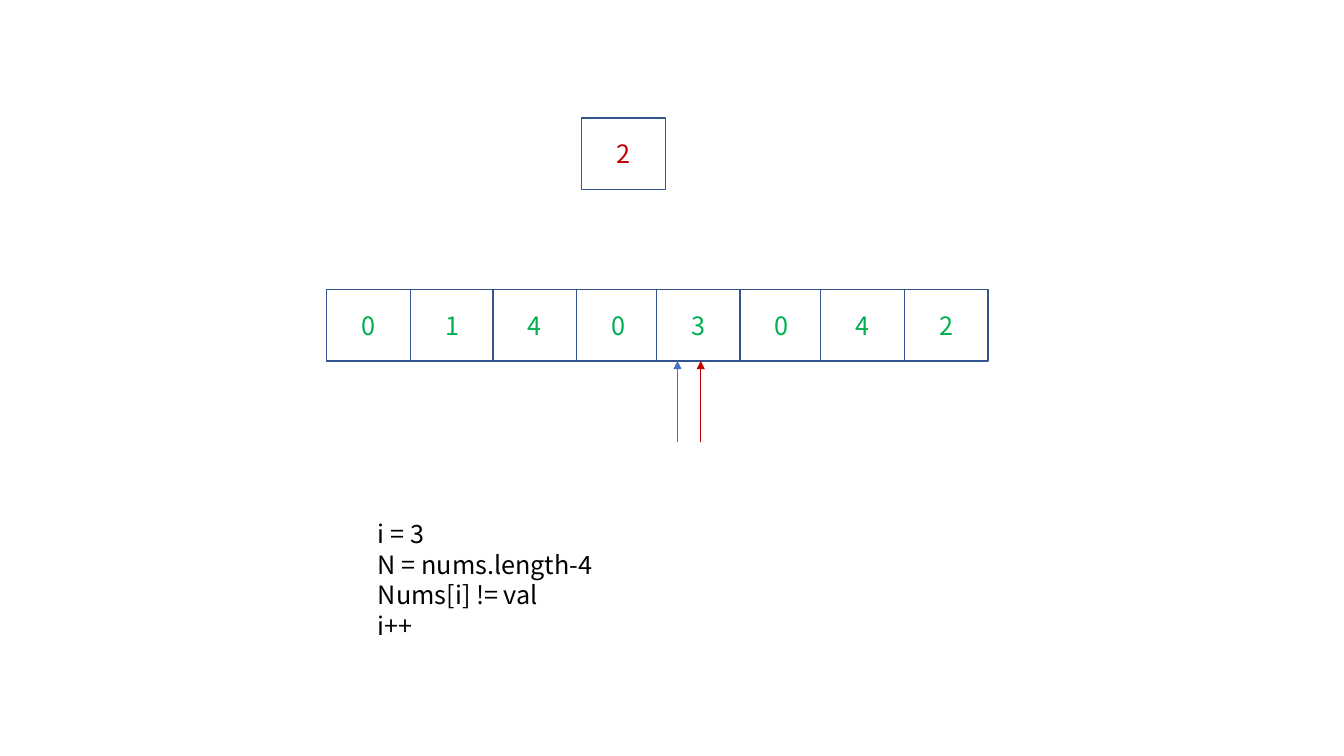
from pptx import Presentation
from pptx.dml.color import RGBColor
from pptx.enum.shapes import MSO_CONNECTOR, MSO_SHAPE
from pptx.enum.text import MSO_ANCHOR, PP_ALIGN
from pptx.oxml.ns import qn
from pptx.util import Inches, Pt
from lxml import etree

RECTANGLE = MSO_SHAPE.RECTANGLE
STRAIGHT = MSO_CONNECTOR.STRAIGHT
MIDDLE = MSO_ANCHOR.MIDDLE
LEFT, CENTER = PP_ALIGN.LEFT, PP_ALIGN.CENTER

WHITE, BLACK = "FFFFFF", "000000"
GREEN, RED = "00B050", "C00000"
BLUE, DARK_BLUE = "4472C4", "325491"


def color(hex_string):
    return RGBColor.from_string(hex_string)


class ArrayDiagram:
    font_name = "Noto Sans CJK SC"
    font_size = Pt(18)
    code_spacing = Pt(21.8)
    cell_width, cell_height = 0.83, 0.71

    def __init__(self, slide):
        self.slide = slide

    def format_text(self, text_frame, text_color, alignment):
        for paragraph in text_frame.paragraphs:
            paragraph.alignment = alignment
            for run in paragraph.runs:
                run.font.name = self.font_name
                run.font.size = self.font_size
                run.font.color.rgb = color(text_color)

    def cell(self, left, top, value, text_color):
        shape = self.slide.shapes.add_shape(
            RECTANGLE, Inches(left), Inches(top),
            Inches(self.cell_width), Inches(self.cell_height))
        shape.shadow.inherit = False
        shape.fill.solid()
        shape.fill.fore_color.rgb = color(WHITE)
        shape.line.color.rgb = color(DARK_BLUE)
        shape.line.width = Pt(1)
        shape.text_frame.text = value
        shape.text_frame.vertical_anchor = MIDDLE
        self.format_text(shape.text_frame, text_color, CENTER)

    def pointer(self, x, start_y, end_y, line_color):
        connector = self.slide.shapes.add_connector(
            STRAIGHT, Inches(x), Inches(start_y), Inches(x), Inches(end_y))
        connector.line.color.rgb = color(line_color)
        connector.line.width = Pt(0.5)
        properties = connector.line._get_or_add_ln()
        etree.SubElement(properties, qn("a:tailEnd")).set("type", "triangle")
        etree.SubElement(connector._element.spPr, qn("a:effectLst"))

    def code(self, left, top, width, height, lines):
        box = self.slide.shapes.add_textbox(
            Inches(left), Inches(top), Inches(width), Inches(height))
        text_frame = box.text_frame
        text_frame.word_wrap = True
        text_frame.text = "\n".join(lines)
        self.format_text(text_frame, BLACK, LEFT)
        for paragraph in text_frame.paragraphs:
            paragraph.line_spacing = self.code_spacing


presentation = Presentation()
presentation.slide_width = Inches(13.33)
presentation.slide_height = Inches(7.5)
diagram = ArrayDiagram(
    presentation.slides.add_slide(presentation.slide_layouts[6]))

# Array cells, some of which overlap slightly
array_top = 2.87
cell_lefts = [3.24, 4.07, 4.89, 5.72, 6.51, 7.34, 8.14, 8.97]
for cell_left, number in zip(cell_lefts, "01403042"):
    diagram.cell(cell_left, array_top, number, GREEN)

# Value to remove
diagram.cell(5.77, 1.17, "2", RED)

# Pointers to the current cell
array_bottom = array_top + diagram.cell_height
for pointer_x, pointer_color in [(6.72, BLUE), (6.95, RED)]:
    diagram.pointer(pointer_x, 4.39, array_bottom, pointer_color)

# Current step
diagram.code(3.65, 5.09, 5.15, 1.31,
             ["i = 3", "N = nums.length-4", "Nums[i] != val", "i++"])

presentation.save("out.pptx")
